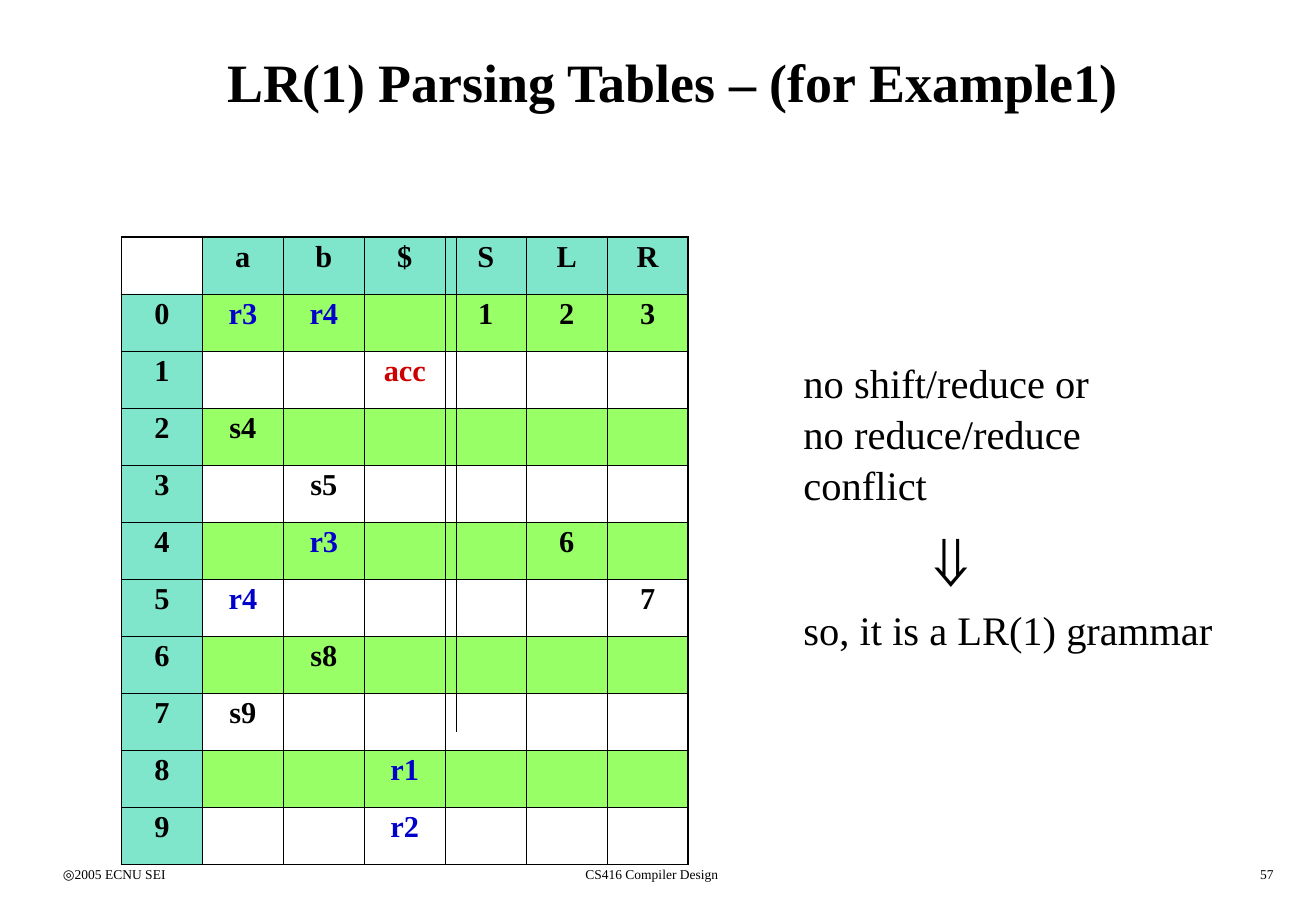
from dataclasses import dataclass

from lxml import etree
from pptx import Presentation
from pptx.dml.color import RGBColor
from pptx.enum.shapes import MSO_CONNECTOR
from pptx.enum.text import MSO_ANCHOR, MSO_AUTO_SIZE, PP_ALIGN
from pptx.oxml.ns import qn
from pptx.slide import Slide
from pptx.table import _Cell
from pptx.text.text import _Paragraph
from pptx.util import Inches, Pt

LEFT, CENTER, RIGHT = PP_ALIGN.LEFT, PP_ALIGN.CENTER, PP_ALIGN.RIGHT
TOP, MIDDLE = MSO_ANCHOR.TOP, MSO_ANCHOR.MIDDLE
GROW = MSO_AUTO_SIZE.SHAPE_TO_FIT_TEXT
STRAIGHT = MSO_CONNECTOR.STRAIGHT


@dataclass(frozen=True)
class Theme:
    serif: str = "Times New Roman"
    sans: str = "Arial"
    ink: str = "000000"
    reduce: str = "0000CC"
    accept: str = "CC0000"
    header: str = "00CC99"
    band: str = "99FF66"
    header_alpha: int = 50
    title: int = 32
    body: int = 24
    arrow: int = 44
    cell: int = 18
    footer: int = 8
    outer_border: float = 1.08
    inner_border: float = 0.45
    divider: float = 0.75


THEME = Theme()


@dataclass(frozen=True)
class Line:
    text: str
    size: int
    align: PP_ALIGN = LEFT
    font: str = THEME.serif
    color: str = THEME.ink
    bold: bool = False
    spacing: float = 1.0
    tab: float = 0


@dataclass(frozen=True)
class Label:
    left: float
    top: float
    width: float
    height: float
    lines: tuple[Line, ...]
    anchor: MSO_ANCHOR = TOP
    wrap: bool = True


CONFLICT_SPACING = 1.05
LABELS = (
    Label(0.42, 7.08, 2.26, 0.25, (Line("◎2005 ECNU SEI", THEME.footer),)),
    Label(3.34, 7.08, 4.06, 0.25,
          (Line("CS416 Compiler Design", THEME.footer, CENTER),)),
    Label(8.33, 7.08, 2.26, 0.25, (Line("57", THEME.footer, RIGHT),)),
    Label(0.42, 0.17, 10.25, 1,
          (Line("LR(1) Parsing Tables – (for Example1)", THEME.title, CENTER,
                bold=True),), MIDDLE),
    Label(6.52, 2.88, 3.58, 2.04, (
        Line("no shift/reduce or", THEME.body, spacing=CONFLICT_SPACING),
        Line("no reduce/reduce conflict", THEME.body,
             spacing=CONFLICT_SPACING),
        Line("\t⇓", THEME.arrow, font=THEME.sans, spacing=CONFLICT_SPACING,
             tab=1),
        Line("so, it is a LR(1) grammar", THEME.body,
             spacing=CONFLICT_SPACING),
    ), wrap=False),
)

PARSING_TABLE = (
    ("", "a", "b", "$", "S", "L", "R"),
    ("0", "r3", "r4", "", "1", "2", "3"),
    ("1", "", "", "acc", "", "", ""),
    ("2", "s4", "", "", "", "", ""),
    ("3", "", "s5", "", "", "", ""),
    ("4", "", "r3", "", "", "6", ""),
    ("5", "r4", "", "", "", "", "7"),
    ("6", "", "s8", "", "", "", ""),
    ("7", "s9", "", "", "", "", ""),
    ("8", "", "", "r1", "", "", ""),
    ("9", "", "", "r2", "", "", ""),
)
TABLE_LEFT, TABLE_TOP = 1, 1.95
TABLE_WIDTH, ROW_HEIGHT = 4.67, 0.47
DIVIDER_X, DIVIDER_BOTTOM = 3.76, 6.03


def write_line(paragraph: _Paragraph, line: Line) -> None:
    if line.tab:
        tabs = etree.SubElement(paragraph._p.get_or_add_pPr(), qn("a:tabLst"))
        etree.SubElement(tabs, qn("a:tab"), pos=str(Inches(line.tab)),
                         algn="l")
    paragraph.alignment = line.align
    if line.spacing != 1:
        paragraph.line_spacing = line.spacing
    run = paragraph.add_run()
    run.text = line.text
    formats = {"name": line.font, "size": Pt(line.size), "bold": line.bold}
    for attribute, value in formats.items():
        setattr(run.font, attribute, value)
    run.font.color.rgb = RGBColor.from_string(line.color)


def draw_label(slide: Slide, label: Label) -> None:
    box = slide.shapes.add_textbox(Inches(label.left), Inches(label.top),
                                   Inches(label.width), Inches(label.height))
    frame = box.text_frame
    frame.word_wrap = label.wrap
    frame.vertical_anchor = label.anchor
    if not label.wrap:
        frame.auto_size = GROW
    for index, line in enumerate(label.lines):
        paragraph = frame.add_paragraph() if index else frame.paragraphs[0]
        write_line(paragraph, line)


def fill_cell(cell: _Cell, row: int, column: int) -> None:
    if (row == 0) != (column == 0):
        cell.fill.solid()
        cell.fill.fore_color.rgb = RGBColor.from_string(THEME.header)
        color = cell._tc.tcPr.find(".//" + qn("a:srgbClr"))
        etree.SubElement(color, qn("a:alpha"),
                         val=str(THEME.header_alpha * 1000))
    elif row % 2 and column:
        cell.fill.solid()
        cell.fill.fore_color.rgb = RGBColor.from_string(THEME.band)
    else:
        cell.fill.background()


def border_cell(cell: _Cell, row: int, column: int) -> None:
    outer_sides = {
        "L": column == 0,
        "R": column == len(PARSING_TABLE[0]) - 1,
        "T": row == 0,
        "B": row == len(PARSING_TABLE) - 1,
    }
    properties = cell._tc.get_or_add_tcPr()
    for index, (side, outer) in enumerate(outer_sides.items()):
        width = THEME.outer_border if outer else THEME.inner_border
        border = etree.Element(qn(f"a:ln{side}"), w=str(Pt(width)))
        fill = etree.SubElement(border, qn("a:solidFill"))
        etree.SubElement(fill, qn("a:srgbClr"), val=THEME.ink)
        properties.insert(index, border)


def entry_color(entry: str) -> str:
    if entry == "acc":
        return THEME.accept
    return THEME.reduce if entry.startswith("r") else THEME.ink


def draw_parsing_table(slide: Slide) -> None:
    rows, columns = len(PARSING_TABLE), len(PARSING_TABLE[0])
    table = slide.shapes.add_table(
        rows, columns, Inches(TABLE_LEFT), Inches(TABLE_TOP),
        Inches(TABLE_WIDTH), Inches(ROW_HEIGHT * rows)).table
    table.first_row = table.horz_banding = False
    for row, entries in enumerate(PARSING_TABLE):
        for column, entry in enumerate(entries):
            cell = table.cell(row, column)
            fill_cell(cell, row, column)
            border_cell(cell, row, column)
            if entry:
                write_line(cell.text_frame.paragraphs[0],
                           Line(entry, THEME.cell, CENTER, bold=True,
                                color=entry_color(entry), spacing=0.9))


def draw_divider(slide: Slide) -> None:
    divider = slide.shapes.add_connector(
        STRAIGHT, Inches(DIVIDER_X), Inches(TABLE_TOP),
        Inches(DIVIDER_X), Inches(DIVIDER_BOTTOM))
    divider.line.color.rgb = RGBColor.from_string(THEME.ink)
    divider.line.width = Pt(THEME.divider)
    etree.SubElement(divider._element.spPr, qn("a:effectLst"))


def main() -> None:
    deck = Presentation()
    deck.slide_width, deck.slide_height = Inches(10.84), Inches(7.5)
    slide = deck.slides.add_slide(deck.slide_layouts[6])
    draw_parsing_table(slide)
    draw_divider(slide)
    for label in LABELS:
        draw_label(slide, label)
    deck.save("out.pptx")


if __name__ == "__main__":
    main()
